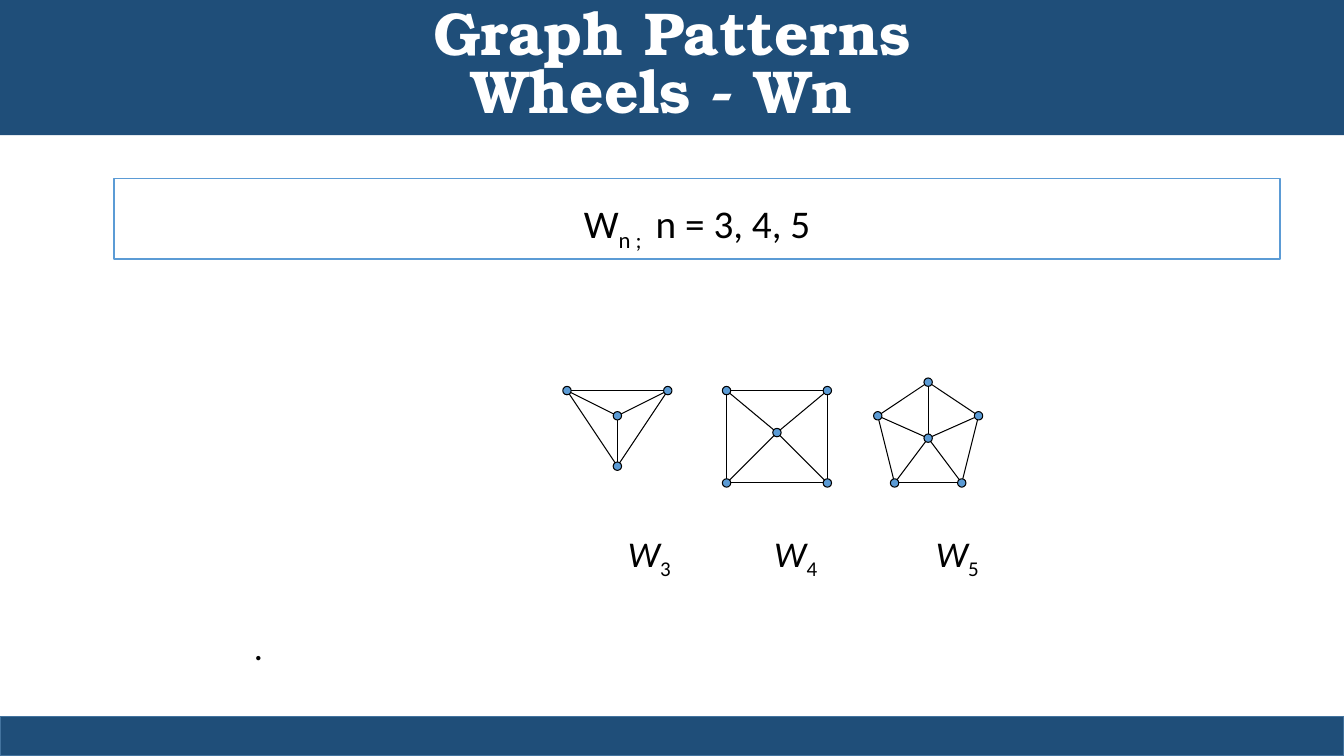
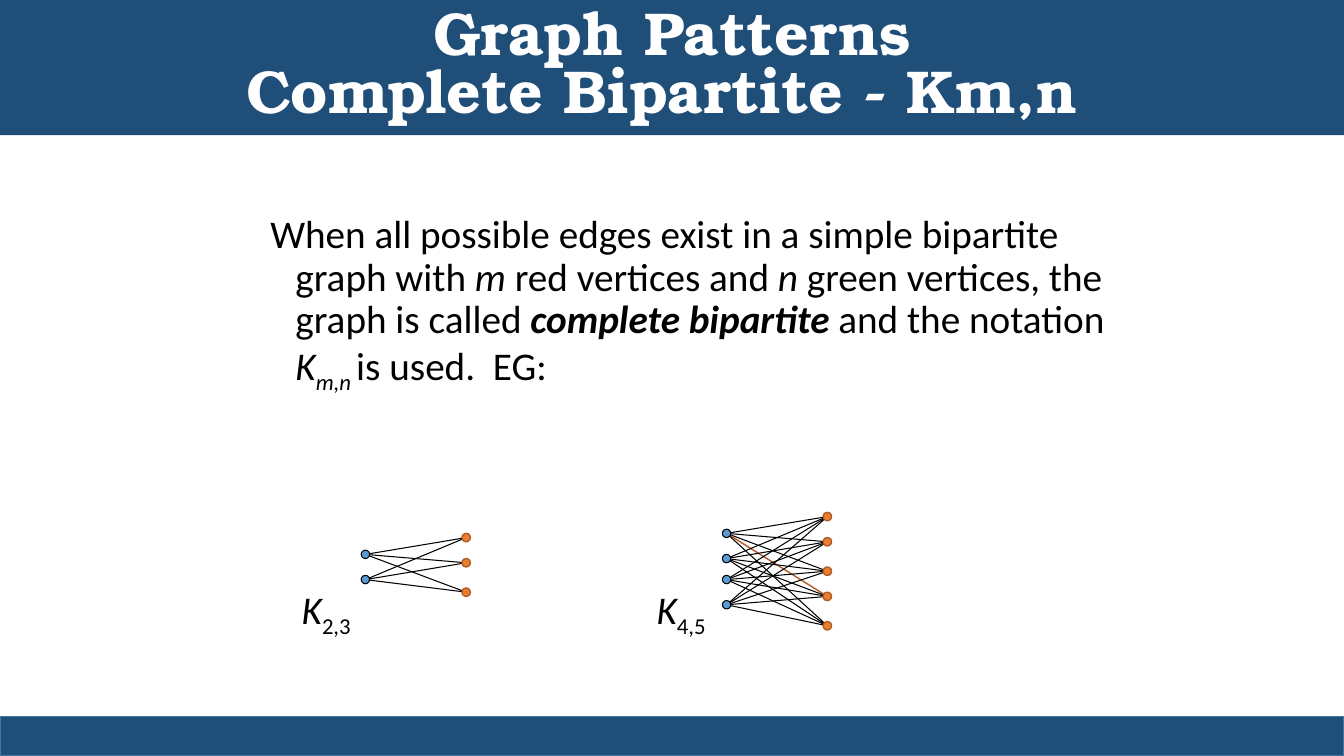
import pptx
import pptx.dml.color
import pptx.enum.shapes
import pptx.enum.text
import pptx.oxml
import pptx.util
import itertools

Pt = pptx.util.Pt
SHAPES = pptx.enum.shapes.MSO_SHAPE
ALIGN = pptx.enum.text.PP_ALIGN
ANCHOR = pptx.enum.text.MSO_ANCHOR

COLORS = {name: pptx.dml.color.RGBColor.from_string(value) for name, value in {
    "band": "1F4E79",
    "band_edge": "43739E",
    "blue": "5B9BD5",
    "orange": "ED7D31",
    "orange_edge": "AF5C24",
    "black": "000000",
    "white": "FFFFFF",
}.items()}
DOT = 6
WIDTH, HEIGHT = 960, 540


def write_text(shape, runs, font="Calibri", size=28, color="black", bold=False,
               align=ALIGN.LEFT, anchor=ANCHOR.TOP, spacing=1.0, hanging=0,
               margins=(0, 0, 0, 0)):
    frame = shape.text_frame
    frame.word_wrap = True
    frame.vertical_anchor = anchor
    frame.margin_left, frame.margin_top, frame.margin_right, frame.margin_bottom = map(Pt, margins)
    paragraph = frame.paragraphs[0]
    paragraph.alignment = align
    paragraph.line_spacing = spacing
    if hanging:
        properties = paragraph._p.get_or_add_pPr()
        properties.set("marL", str(Pt(hanging)))
        properties.set("indent", str(-Pt(hanging)))
    paragraph.font.size = Pt(size)
    for text, style in runs:
        if text == "\n":
            paragraph.add_line_break()
            continue
        run = paragraph.add_run()
        run.text = text
        run.font.name = font
        run.font.size = Pt(size)
        run.font.color.rgb = COLORS[color]
        run.font.bold = bold or "b" in style
        run.font.italic = "i" in style
        if "s" in style:
            run._r.get_or_add_rPr().set("baseline", "-25000")


def add_box(slide, kind, left, top, width, height, fill, line=None, line_width=1):
    shape = slide.shapes.add_shape(kind, Pt(left), Pt(top), Pt(width), Pt(height))
    shape.shadow.inherit = False
    shape.fill.solid()
    shape.fill.fore_color.rgb = COLORS[fill]
    if line:
        shape.line.color.rgb = COLORS[line]
        shape.line.width = Pt(line_width)
    else:
        shape.line.fill.background()
    return shape


presentation = pptx.Presentation()
presentation.slide_width = Pt(WIDTH)
presentation.slide_height = Pt(HEIGHT)

wheels = [
    ((441, 297), [(405, 279), (477, 279), (441, 333)]),
    ((555, 309), [(519, 279), (591, 279), (591, 345), (519, 345)]),
    ((663, 313), [(663, 273), (699, 297), (687, 345), (639, 345), (627, 297)]),
]
wheel_edges = []
wheel_dots = []
for hub, rim in wheels:
    wheel_edges += [(start, end, "black") for start, end in zip(rim, rim[1:] + rim[:1])]
    wheel_edges += [(hub, corner, "black") for corner in rim]
    wheel_dots += [(point, "blue", "black") for point in [hub] + rim]

bipartites = [
    (261, 333, [396, 414], [384, 402, 423]),
    (519, 591, [381, 399, 414, 432], [369, 387, 408, 426, 447]),
]
bipartite_edges = []
bipartite_dots = []
for left, right, left_tops, right_tops in bipartites:
    left_points = [(left, y) for y in left_tops]
    right_points = [(right, y) for y in right_tops]
    for start, end in itertools.product(left_points, right_points):
        highlighted = (start, end) == ((519, 381), (591, 426))
        bipartite_edges.append((start, end, "orange_edge" if highlighted else "black"))
    bipartite_dots += [(point, "blue", "black") for point in left_points]
    bipartite_dots += [(point, "orange", "orange_edge") for point in right_points]

slide_contents = [
    {
        "title": "Wheels - Wn ",
        "edges": wheel_edges,
        "dots": wheel_dots,
        "label_size": 25.9,
        "labels": [
            (448.5, 379.3, [("W", "i"), ("3", "s")]),
            (553, 379.3, [("W", "i"), ("4", "s")]),
            (668.5, 379.3, [("W", "i"), ("5", "s")]),
            (181.4, 446, [(".", "")]),
        ],
    },
    {
        "title": "Complete Bipartite - Km,n ",
        "edges": bipartite_edges,
        "dots": bipartite_dots,
        "label_size": 28,
        "labels": [
            (215.5, 418.3, [("K", "i"), ("2,3", "s")]),
            (469, 418.3, [("K", "i"), ("4,5", "s")]),
        ],
    },
]

slides = []
for content in slide_contents:
    slide = presentation.slides.add_slide(presentation.slide_layouts[6])
    slides.append(slide)
    for start, end, color in content["edges"]:
        edge = slide.shapes.add_connector(
            pptx.enum.shapes.MSO_CONNECTOR.STRAIGHT, *map(Pt, start + end))
        edge.line.color.rgb = COLORS[color]
        edge.line.width = Pt(0.75 if color == "black" else 1)
        edge._element.spPr.append(pptx.oxml.parse_xml(
            '<a:effectLst xmlns:a="http://schemas.openxmlformats.org/drawingml/2006/main"/>'))
    for (x, y), fill, line in content["dots"]:
        add_box(slide, SHAPES.OVAL, x - DOT / 2, y - DOT / 2, DOT, DOT, fill, line,
                0.75 if line == "black" else 1)
    for left, top, runs in content["labels"]:
        label = slide.shapes.add_textbox(Pt(left), Pt(top), Pt(60), Pt(36))
        write_text(label, runs, size=content["label_size"])
    add_box(slide, SHAPES.RECTANGLE, 0, 512, WIDTH, 28, "band", "band_edge")
    title_band = add_box(slide, SHAPES.RECTANGLE, 0, 0, WIDTH, 96.5, "band")
    write_text(title_band, [("Graph Patterns", ""), ("\n", ""), (content["title"], "")],
               font="TeX Gyre Bonum", size=43.2, color="white", bold=True,
               align=ALIGN.CENTER, anchor=ANCHOR.MIDDLE, spacing=0.8,
               margins=(7.2, 3.6, 7.2, 3.6))

wheel_slide, bipartite_slide = slides

formula_box = add_box(wheel_slide, SHAPES.RECTANGLE, 81.4, 127.4, 833, 57.6, "white", "blue")
write_text(formula_box, [("W", ""), ("n ; ", "s"), (" n = 3, 4, 5", "")],
           align=ALIGN.CENTER, margins=(7.2, 15.2, 7.2, 0))

definition = bipartite_slide.shapes.add_textbox(Pt(186), Pt(150), Pt(612), Pt(140))
write_text(definition, [
    ("When all possible edges exist in a simple bipartite graph with ", ""),
    ("m", "i"),
    (" red vertices and ", ""),
    ("n ", "i"),
    ("green vertices, the graph is called ", ""),
    ("complete bipartite ", "bi"),
    ("and the notation ", ""),
    ("K", "i"),
    ("m,n ", "is"),
    ("is used.  EG:", ""),
], spacing=0.9, hanging=18, margins=(7.2, 3.6, 7.2, 3.6))

presentation.save("out.pptx")
